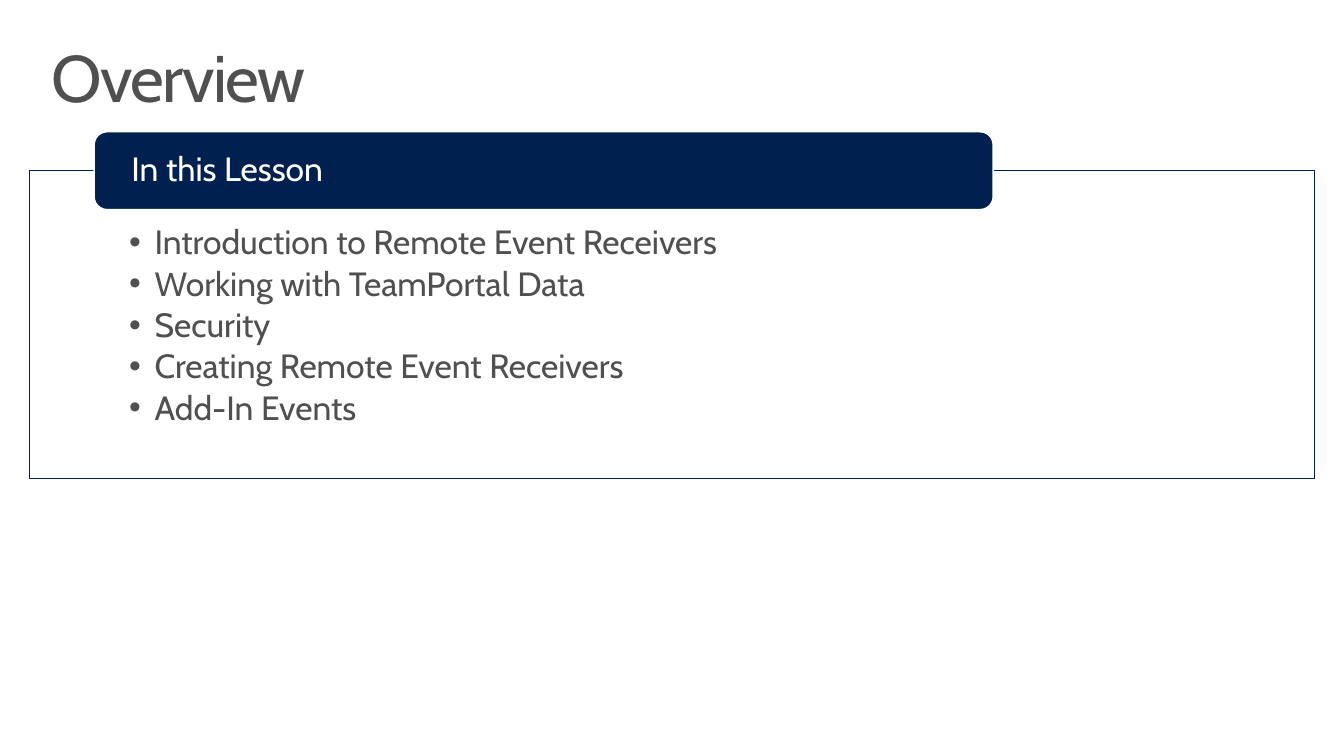
from dataclasses import dataclass

from lxml.etree import SubElement
from pptx import Presentation
from pptx.dml.color import RGBColor
from pptx.enum.shapes import MSO_SHAPE as Shape
from pptx.enum.text import MSO_ANCHOR as Anchor, MSO_AUTO_SIZE as Fit, PP_ALIGN as Align
from pptx.oxml.ns import qn
from pptx.util import Inches, Pt

NAVY = RGBColor(0x00, 0x20, 0x50)
GRAY = RGBColor(0x50, 0x50, 0x50)
WHITE = RGBColor(0xFF, 0xFF, 0xFF)
FONT = "Cabin"
LEFT, WIDTH = 0.22, 9.56
TOPICS = [
    "Introduction to Remote Event Receivers",
    "Working with TeamPortal Data",
    "Security",
    "Creating Remote Event Receivers",
    "Add-In Events",
]


@dataclass
class Style:
    size: float
    color: RGBColor
    inset: tuple[float, float, float, float]
    anchor: Anchor = Anchor.TOP
    after: float = 0


def place(shape, left: float, top: float, width: float, height: float) -> None:
    shape.left, shape.top = Inches(left), Inches(top)
    shape.width, shape.height = Inches(width), Inches(height)


def paint(shape, fill: RGBColor, line: RGBColor) -> None:
    shape.fill.solid()
    shape.fill.fore_color.rgb = fill
    shape.line.color.rgb = line
    shape.line.width = Pt(0.85)


def write(shape, text: str, style: Style) -> None:
    frame = shape.text_frame
    frame.text = text
    frame.word_wrap = True
    frame.auto_size = Fit.NONE
    frame.vertical_anchor = style.anchor
    (frame.margin_left, frame.margin_top,
     frame.margin_right, frame.margin_bottom) = map(Inches, style.inset)
    for para in frame.paragraphs:
        para.alignment = Align.LEFT
        para.line_spacing = 0.9
        para.space_before = Pt(0)
        para.space_after = Pt(style.after)
        for run in para.runs:
            run.font.name = FONT
            run.font.size = Pt(style.size)
            run.font.color.rgb = style.color


def add_bullet(para) -> None:
    para.level = 1
    props = para._p.get_or_add_pPr()
    props.set("marL", str(Inches(0.19)))
    props.set("indent", str(-Inches(0.19)))
    SubElement(props, qn("a:buFont"), typeface="Arial")
    SubElement(props, qn("a:buChar"), char="•")


def main() -> None:
    # Widescreen slide, 16:9
    deck = Presentation()
    deck.slide_width = Inches(10)
    deck.slide_height = deck.slide_width * 9 // 16
    slide = deck.slides.add_slide(deck.slide_layouts[1])

    # Title
    title = slide.shapes.title
    place(title, LEFT, 0.24, WIDTH, 0.74)
    write(title, "Overview", Style(35.3, GRAY, (0.16, 0.1, 0.16, 0.1)))
    for run in title.text_frame.paragraphs[0].runs:
        run.font._element.set("spc", "-80")

    # Framed list of topics
    body = slide.placeholders[1]
    place(body, LEFT, 1.27, WIDTH, 2.29)
    paint(body, WHITE, NAVY)
    tint = body.fill._xPr.find(qn("a:solidFill"))[0]
    SubElement(tint, qn("a:alpha"), val="90000")
    write(body, "\n".join(TOPICS),
          Style(18, GRAY, (0.74, 0.41, 0.74, 0.14), after=2.7))
    for para in body.text_frame.paragraphs:
        add_bullet(para)

    # Heading over the frame's top edge
    head = slide.shapes.add_shape(Shape.ROUNDED_RECTANGLE, Inches(0.7),
                                  Inches(0.98), Inches(6.69), Inches(0.58))
    head.shadow.inherit = False
    paint(head, NAVY, WHITE)
    write(head, "In this Lesson",
          Style(18, WHITE, (0.25, 0, 0.25, 0), Anchor.MIDDLE))

    deck.save("out.pptx")


if __name__ == "__main__":
    main()
